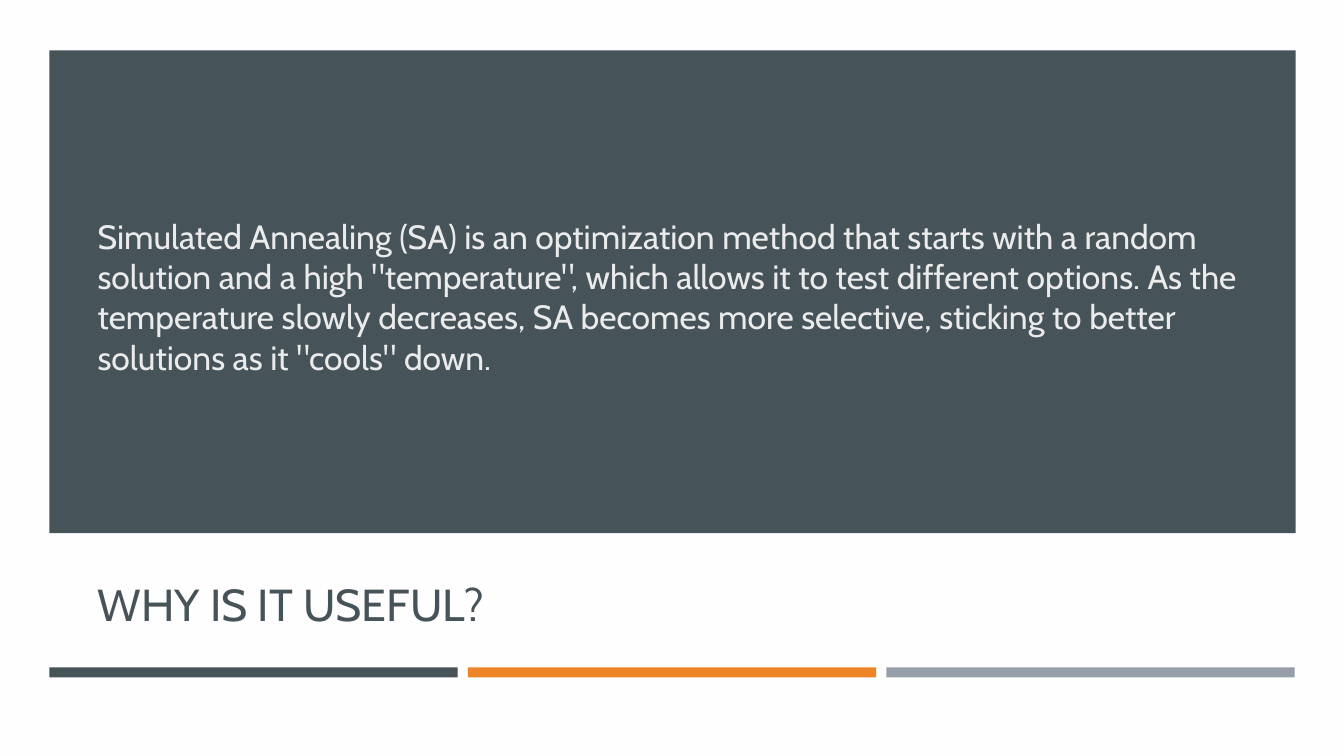
"""Build the slide on why simulated annealing is useful."""
import pptx
import pptx.dml.color
import pptx.enum.shapes
import pptx.enum.text
import pptx.util

SLATE, ORANGE, GREY = "465359", "ED8428", "969FA7"
LEFT, BAR_WIDTH, BAR_PITCH = 0.49, 4.05, 4.15
TEXT_LEFT, TEXT_WIDTH = 0.87, 11.64


def color(hex_code):
    return pptx.dml.color.RGBColor.from_string(hex_code)


def add_block(left, top, width, height, hex_code):
    block = slide.shapes.add_shape(
        pptx.enum.shapes.MSO_SHAPE.RECTANGLE,
        *map(pptx.util.Inches, (left, top, width, height)))
    block.shadow.inherit = False
    block.fill.solid()
    block.fill.fore_color.rgb = color(hex_code)
    block.line.fill.background()
    return block


deck = pptx.Presentation()
deck.slide_width = pptx.util.Inches(13.33)
deck.slide_height = pptx.util.Inches(7.5)
slide = deck.slides.add_slide(deck.slide_layouts[5])
slide.background.fill.solid()
slide.background.fill.fore_color.rgb = color("3D3D3D")

heading = slide.shapes.title
heading.left, heading.top, heading.width, heading.height = map(
    pptx.util.Inches, (TEXT_LEFT, 5.47, TEXT_WIDTH, 1.04))
heading.text_frame.text = "WHY IS IT USEFUL?"

page = add_block(0, 0, 13.33, 7.5, "FFFEFF")
heading.element.addprevious(page.element)

add_block(LEFT, 0.5, 12.36, 4.79, SLATE)
explanation = slide.shapes.add_textbox(
    *map(pptx.util.Inches, (TEXT_LEFT, 0.93, TEXT_WIDTH, 4.02)))
explanation.text_frame.text = (
    "Simulated Annealing (SA) is an optimization method that starts with a "
    "random solution and a high \"temperature\", which allows it to test "
    "different options. As the temperature slowly decreases, SA becomes more "
    "selective, sticking to better solutions as it \"cools\" down.")
explanation.text_frame.paragraphs[0].space_before = pptx.util.Pt(4.8)
explanation.text_frame.paragraphs[0].space_after = pptx.util.Pt(6)

for passage, size, hex_code in ((heading, 32, SLATE), (explanation, 24, "EBEBEB")):
    frame = passage.text_frame
    frame.word_wrap = True
    frame.auto_size = pptx.enum.text.MSO_AUTO_SIZE.NONE
    frame.vertical_anchor = pptx.enum.text.MSO_ANCHOR.MIDDLE
    frame.paragraphs[0].alignment = pptx.enum.text.PP_ALIGN.LEFT
    font = frame.paragraphs[0].runs[0].font
    font.name = "Cabin"
    font.size = pptx.util.Pt(size)
    font.color.rgb = color(hex_code)

for column, accent in enumerate((SLATE, ORANGE, GREY)):
    add_block(LEFT + column * BAR_PITCH, 6.62, BAR_WIDTH, 0.1, accent)

deck.save("out.pptx")
